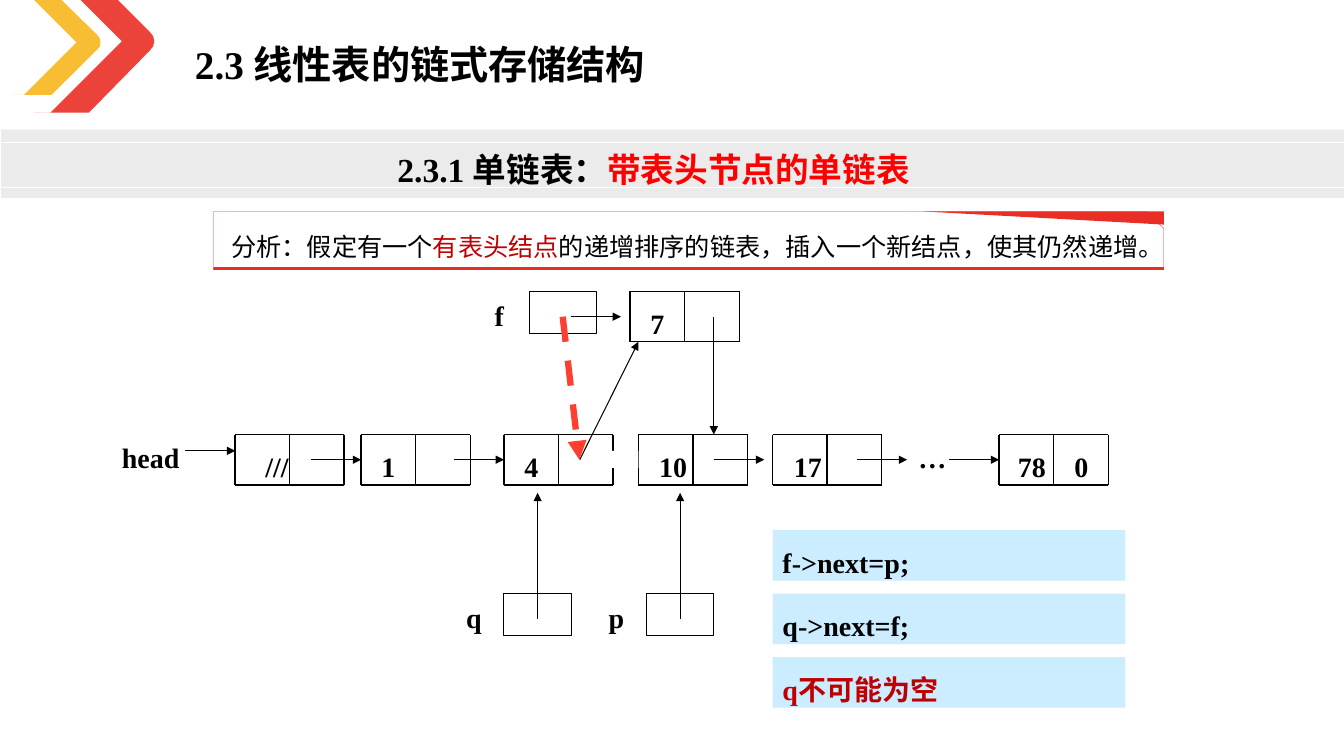
from dataclasses import dataclass

from lxml import etree
from pptx import Presentation
from pptx import util as u
from pptx.dml.color import RGBColor
from pptx.enum import dml, shapes, text
from pptx.oxml import ns


@dataclass(frozen=True)
class Theme:
    font: str = "Times New Roman"
    ink: str = "000000"
    paper: str = "FFFFFF"
    red: str = "E92E25"
    yellow: str = "F7B61D"
    band: str = "404040"
    code: str = "CCECFF"
    dark_red: str = "C00000"
    bright_red: str = "FF0000"
    new_link: str = "FE3F30"
    title: int = 28
    heading: int = 24
    label: int = 20
    note: int = 18


T = Theme()
NODE_W, NODE_H, ROW_Y = 2.75, 1.27, 10.95
MID_Y = ROW_Y + NODE_H / 2
LINK = 1.27
BOX_W, BOX_H = 1.7, 1.06


def cm(*values):
    return [u.Cm(v) for v in values]


def set_attrs(obj, values):
    for name, value in values.items():
        setattr(obj, name, value)


# Text
def write(s, runs, size, bold=True, align=text.PP_ALIGN.CENTER):
    tf = s.text_frame
    set_attrs(tf, {"word_wrap": True, "auto_size": text.MSO_AUTO_SIZE.NONE,
                   "vertical_anchor": text.MSO_ANCHOR.TOP})
    p = tf.paragraphs[0]
    set_attrs(p, {"alignment": align, "line_spacing": 1.3})
    for words, color in runs:
        r = p.add_run()
        r.text = words
        set_attrs(r.font, {"name": T.font, "size": u.Pt(size), "bold": bold})
        r.font.color.rgb = RGBColor.from_string(color)


def label(sp, x, y, w, words):
    write(sp.add_textbox(*cm(x, y, w, NODE_H)), [(words, T.ink)], T.label)


# Shapes and lines
def paint(s, fill, line=None, width=0.75, alpha=None):
    s.shadow.inherit = False
    s.fill.solid()
    s.fill.fore_color.rgb = RGBColor.from_string(fill)
    if alpha:
        color = s.fill._xPr.find(".//" + ns.qn("a:srgbClr"))
        etree.SubElement(color, ns.qn("a:alpha"), val=str(alpha * 1000))
    if line:
        s.line.color.rgb = RGBColor.from_string(line)
        s.line.width = u.Pt(width)
    else:
        s.line.fill.background()
    return s


def rect(sp, x, y, w, h, fill, kind=shapes.MSO_SHAPE.RECTANGLE, **style):
    return paint(sp.add_shape(kind, *cm(x, y, w, h)), fill, **style)


def outline(sp, points, fill, alpha=None):
    first, *rest = [cm(*point) for point in points]
    fb = sp.build_freeform(*first)
    fb.add_line_segments(rest)
    return paint(fb.convert_to_shape(), fill, alpha=alpha)


def line(sp, x1, y1, x2, y2, color=T.ink, width=0.75, arrow=False, dash=None):
    c = sp.add_connector(shapes.MSO_CONNECTOR.STRAIGHT, *cm(x1, y1, x2, y2))
    c.line.color.rgb = RGBColor.from_string(color)
    c.line.width = u.Pt(width)
    if dash:
        c.line.dash_style = dash
    if arrow:
        etree.SubElement(c.line._get_or_add_ln(), ns.qn("a:tailEnd"), type="triangle")
    etree.SubElement(c._element.spPr, ns.qn("a:effectLst"))


# Linked-list parts
def node(sp, x, y, value, value_w):
    label(sp, x, y, value_w, value)
    for edge_y in (y, y + NODE_H):
        line(sp, x, edge_y, x + NODE_W, edge_y, width=1)
    for i in range(3):
        edge_x = x + i * NODE_W / 2
        line(sp, edge_x, y, edge_x, y + NODE_H, width=1)


def pointer(sp, x, y, name):
    rect(sp, x, y, BOX_W, BOX_H, T.paper, line=T.ink)
    label(sp, x - 1.49, y - 0.2, 1.47, name)


def link(sp, x, y=MID_Y):
    line(sp, x, y, x + LINK, y, arrow=True)


def add_header(s):
    sp = s.shapes
    # Corner chevrons
    outline(sp, [(0.86, 2.84), (2.24, 2.84), (3.78, 1.27), (3.86, 1.17), (3.89, 1.04),
                 (3.86, 0.91), (3.78, 0.81), (2.97, 0), (2.03, 0), (3.07, 1.04),
                 (1.27, 2.84)], T.red, 90)
    outline(sp, [(0.3, 2.39), (1.3, 2.39), (2.46, 1.24), (2.52, 1.16), (2.53, 1.07),
                 (2.52, 0.98), (2.46, 0.89), (1.55, 0), (0.86, 0), (1.93, 1.07),
                 (0.61, 2.39)], T.yellow, 90)
    # Title
    title = sp.title
    set_attrs(title, dict(zip(("left", "top", "width", "height"),
                              cm(4.66, 0.53, 17.12, 1.65))))
    write(title, [("2.3 线性表的链式存储结构", T.ink)], T.title, align=text.PP_ALIGN.LEFT)
    # Heading band
    rect(sp, 0.03, 3.26, 33.84, 1.73, T.band, alpha=10)
    for y in (3.58, 4.73):
        line(sp, 0.03, y, 33.87, y, T.paper, 0.5)
    write(sp.add_textbox(*cm(1.42, 3.33, 30.1, 1.45)),
          [("2.3.1 单链表：", T.ink), ("带表头节点的单链表", T.bright_red)], T.heading)


def add_analysis(sp):
    frame = rect(sp, 5.38, 5.33, 23.95, 1.47, T.paper,
                 shapes.MSO_SHAPE.SNIP_1_RECTANGLE, line=T.red, width=0.25)
    frame.adjustments[0] = 0.29
    rect(sp, 5.38, 6.73, 23.95, 0.07, T.red)
    outline(sp, [(29.33, 5.33), (23.29, 5.33), (29.33, 5.66)], T.red)
    write(sp.add_textbox(*cm(5.58, 5.47, 26.64, 1.17)),
          [("分析：假定有一个", T.ink), ("有表头结点", T.dark_red),
           ("的递增排序的链表，插入一个新结点，使其仍然递增。", T.ink)],
          T.note, bold=False, align=text.PP_ALIGN.LEFT)


def add_list(sp):
    # Main row
    for value, x, w in (("///", 5.92, 2.13), ("1", 9.1, 1.38), ("4", 12.7, 1.38),
                        ("10", 16.09, 1.75), ("17", 19.47, 1.78), ("78", 25.18, 1.65)):
        node(sp, x, ROW_Y, value, w)
    label(sp, 26.56, ROW_Y, 1.38, "0")
    label(sp, 2.21, 10.72, 3.18, "head")
    label(sp, 22.86, 10.72, 1.27, "…")
    link(sp, 4.66, 11.36)
    for x in (7.83, 11.43, 17.99, 21.59, 23.91):
        link(sp, x)
    # New node
    pointer(sp, 13.34, 7.34, "f")
    node(sp, 15.88, 7.34, "7", 1.38)
    link(sp, 14.38, 7.98)
    # Pointers into the row
    for x, name in ((12.7, "q"), (16.29, "p")):
        pointer(sp, x, 14.96, name)
        middle = x + BOX_W / 2
        line(sp, middle, 15.6, middle, 12.42, arrow=True)
    # Gap where the old link was cut
    rect(sp, 14.82, 11.36, 1.27, 0.43, T.paper)
    # Links made by the insertion
    line(sp, 17.99, 7.98, 17.99, ROW_Y, arrow=True)
    line(sp, 14.61, MID_Y, 16.09, 8.61, arrow=True)
    line(sp, 14.18, 7.98, 14.6, MID_Y, T.new_link, 4.5, True, dml.MSO_LINE.DASH)


def add_statements(sp):
    statements = (("f->next=p;", T.ink), ("q->next=f;", T.ink), ("q不可能为空", T.dark_red))
    for i, statement in enumerate(statements):
        s = rect(sp, 19.47, 13.36 + 1.6 * i, 8.89, 1.27, T.code)
        write(s, [statement], T.label, align=text.PP_ALIGN.LEFT)


def main():
    prs = Presentation()
    prs.slide_width, prs.slide_height = cm(33.87, 19.05)
    s = prs.slides.add_slide(prs.slide_layouts[5])
    add_header(s)
    add_analysis(s.shapes)
    add_list(s.shapes)
    add_statements(s.shapes)
    prs.save("out.pptx")


if __name__ == "__main__":
    main()
